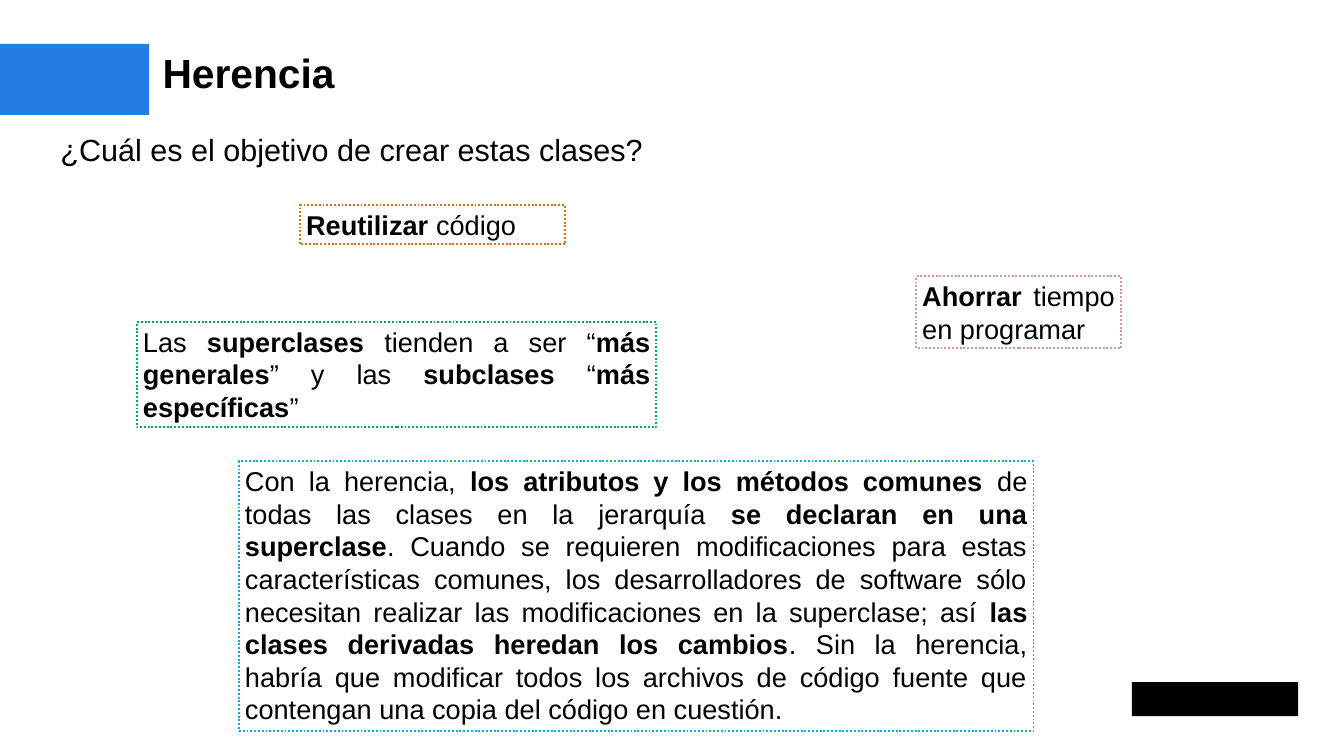
from lxml.etree import SubElement
from pptx import Presentation
from pptx.dml.color import RGBColor
from pptx.enum.dml import MSO_LINE
from pptx.enum.shapes import MSO_SHAPE
from pptx.enum.text import MSO_ANCHOR, MSO_AUTO_SIZE, PP_ALIGN
from pptx.oxml.ns import qn
from pptx.util import Inches, Pt

COLOURS = {
    "text": "000000",
    "band": "257CE1",
    "reuse": "E46C0A",
    "time": "D99694",
    "classes": "00B050",
    "inheritance": "00B0F0",
}

IDEAS = [
    ("reuse", (4.91, 3.36, 4.33, 0.64), "**Reutilizar** código"),
    ("time", (14.99, 4.52, 3.35, 1.18), "**Ahorrar** tiempo en programar"),
    ("classes", (2.24, 5.27, 8.5, 1.72),
     "Las **superclases** tienden a ser “**más generales**” y las "
     "**subclases** “**más específicas**”"),
    ("inheritance", (3.91, 7.55, 13, 4.41),
     "Con la herencia, **los atributos y los métodos comunes **de todas las "
     "clases en la jerarquía **se declaran en una superclase**. Cuando se "
     "requieren modificaciones para estas características comunes, los "
     "desarrolladores de software sólo necesitan realizar las modificaciones "
     "en la superclase; así **las clases derivadas heredan los cambios**. Sin "
     "la herencia, habría que modificar todos los archivos de código fuente "
     "que contengan una copia del código en cuestión."),
]


def colour(name):
    """Return the named colour."""
    return RGBColor.from_string(COLOURS[name])


def format_run(run, size, bold=False):
    """Give a run the slide's font, a size and a weight."""
    run.font.name = "Arial"
    run.font.size = Pt(size)
    run.font.bold = bold
    run.font.color.rgb = colour("text")


def fill_placeholder(placeholder, box, text, size, bold=False):
    """Move a placeholder, write its text and return its paragraph."""
    placeholder.left, placeholder.top, placeholder.width, placeholder.height = map(Inches, box)
    frame = placeholder.text_frame
    frame.text = text
    frame.auto_size = MSO_AUTO_SIZE.NONE
    frame.vertical_anchor = MSO_ANCHOR.TOP
    paragraph = frame.paragraphs[0]
    paragraph.space_before = Pt(0)
    format_run(paragraph.runs[0], size, bold)
    return paragraph


def add_title(slide):
    """Write the slide title without insets."""
    title = slide.shapes.title
    heading = fill_placeholder(title, (2.66, 0.78, 18.58, 0.81), "Herencia", 48, True)
    heading.alignment = PP_ALIGN.LEFT
    frame = title.text_frame
    frame.margin_left = frame.margin_right = frame.margin_top = frame.margin_bottom = 0


def add_question(slide):
    """Write the opening question in the body, without a bullet."""
    question = fill_placeholder(slide.placeholders[1], (0.83, 2.1, 20.41, 9.49),
                                "¿Cuál es el objetivo de crear estas clases?", 36)
    question.alignment = PP_ALIGN.JUSTIFY
    properties = question._p.get_or_add_pPr()
    properties.set("marL", str(Inches(0.06)))
    properties.set("indent", "0")
    SubElement(properties, qn("a:buNone"))


def add_block(slide, box, fill):
    """Add a plain filled rectangle."""
    block = slide.shapes.add_shape(MSO_SHAPE.RECTANGLE, *map(Inches, box))
    block.shadow.inherit = False
    block.fill.solid()
    block.fill.fore_color.rgb = colour(fill)
    block.line.fill.background()


def add_idea(slide, border, box, text):
    """Add a dotted box whose text has bold parts between double asterisks."""
    idea = slide.shapes.add_shape(MSO_SHAPE.RECTANGLE, *map(Inches, box))
    idea.shadow.inherit = False
    idea.fill.background()
    idea.line.color.rgb = colour(border)
    idea.line.width = Pt(2.25)
    idea.line.dash_style = MSO_LINE.ROUND_DOT
    frame = idea.text_frame
    frame.word_wrap = True
    frame.vertical_anchor = MSO_ANCHOR.TOP
    paragraph = frame.paragraphs[0]
    paragraph.alignment = PP_ALIGN.JUSTIFY
    for index, part in enumerate(text.split("**")):
        if part:
            run = paragraph.add_run()
            run.text = part
            format_run(run, 32, bold=index % 2 == 1)


def main():
    """Build the slide about inheritance and save it."""
    presentation = Presentation()
    presentation.slide_width = Inches(21.99)
    presentation.slide_height = Inches(12.37)
    slide = presentation.slides.add_slide(presentation.slide_layouts[1])
    add_title(slide)
    add_question(slide)
    add_block(slide, (0, 0.72, 2.44, 1.16), "band")
    add_block(slide, (18.52, 11.16, 2.72, 0.56), "text")
    for border, box, text in IDEAS:
        add_idea(slide, border, box, text)
    presentation.save("out.pptx")


if __name__ == "__main__":
    main()
